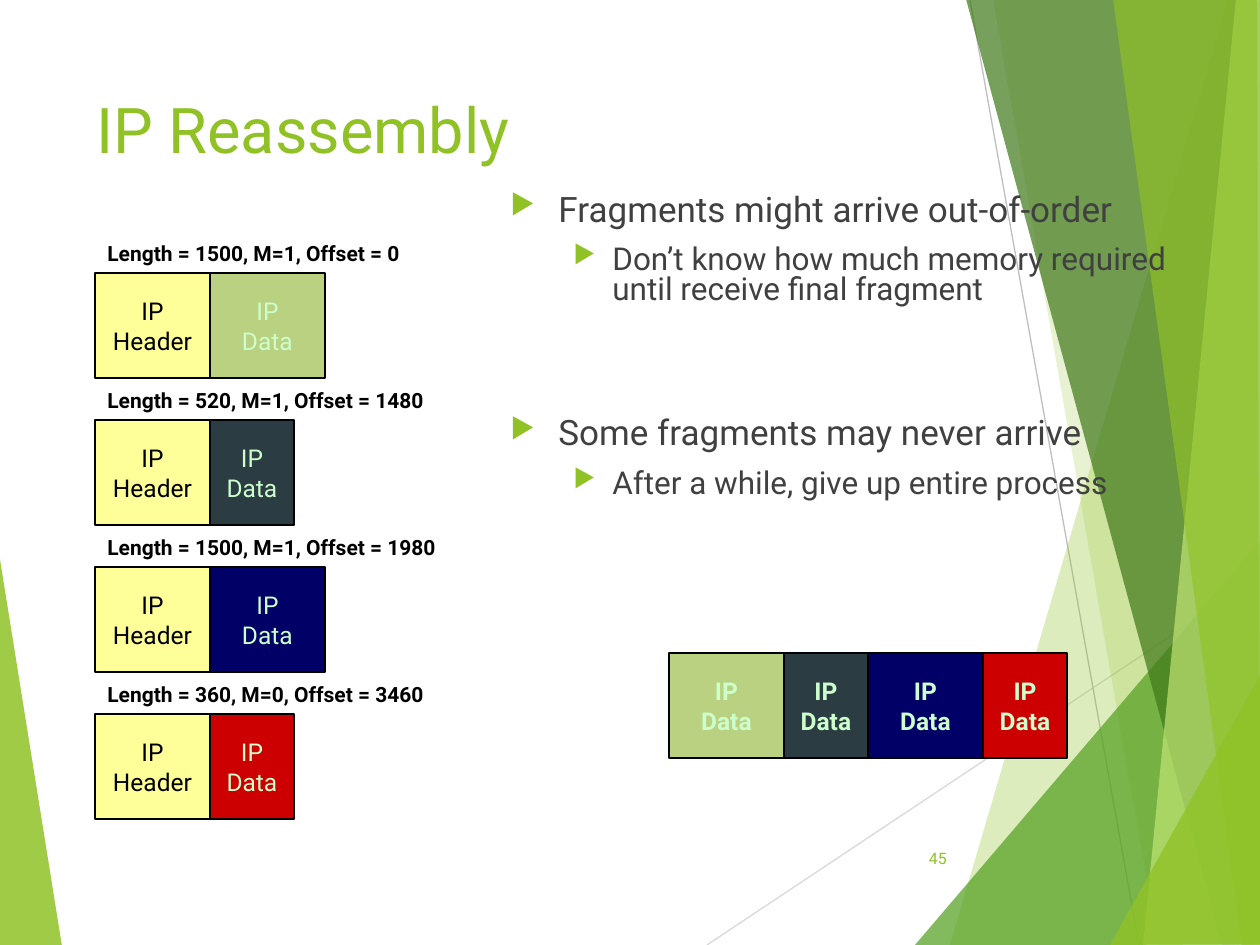
from lxml import etree
from pptx import Presentation
from pptx.dml.color import RGBColor
from pptx.enum.shapes import MSO_CONNECTOR, MSO_SHAPE
from pptx.enum.text import MSO_ANCHOR, PP_ALIGN
from pptx.oxml.ns import qn
from pptx.util import Emu, Pt

PX = 914400 / 126
RECTANGLE = MSO_SHAPE.RECTANGLE
STRAIGHT = MSO_CONNECTOR.STRAIGHT
TOP, MIDDLE = MSO_ANCHOR.TOP, MSO_ANCHOR.MIDDLE
LEFT, CENTER, RIGHT = PP_ALIGN.LEFT, PP_ALIGN.CENTER, PP_ALIGN.RIGHT
COLORS = {
    "lime": "90C226", "green": "54A021", "forest": "3F7819", "pale": "C0E474",
    "ray": "D9D9D9", "dark ray": "BFBFBF", "body": "404040", "black": "000000",
    "header": "FFFF99", "sage": "B9D181", "slate": "2C3C43", "navy": "000066",
    "red": "CC0000", "mint": "CCFFCC",
}


def px(*lengths):
    return [Emu(round(length * PX)) for length in lengths]


def write(shape, lines, size, color, bold=False, align=LEFT, anchor=TOP, wrap=True):
    frame = shape.text_frame
    frame.text = "\n".join(lines)
    frame.word_wrap = wrap
    frame.vertical_anchor = anchor
    for paragraph in frame.paragraphs:
        paragraph.alignment = align
        font = paragraph.runs[0].font
        font.name, font.size, font.bold = "Roboto", Pt(size), bold
        font.color.rgb = RGBColor.from_string(COLORS[color])


prs = Presentation()
prs.slide_width, prs.slide_height = px(1260, 945)
slide = prs.slides.add_slide(prs.slide_layouts[6])
shapes = slide.shapes

rays = [("ray", (707, 945, 1261, 576)), ("dark ray", (970, 0, 1139, 945))]
for color, ends in rays:
    ray = shapes.add_connector(STRAIGHT, *px(*ends))
    ray.line.color.rgb = RGBColor.from_string(COLORS[color])
    ray.line.width = Pt(0.75)
    etree.SubElement(ray._element.spPr, qn("a:effectLst"))

facets = [
    ("lime", 85, [(-1, 553), (62, 946), (-1, 945)]),
    ("lime", 30, [(1228, 0), (950, 945), (1263, 946), (1261, 1)]),
    ("lime", 20, [(993, -1), (1158, 945), (1261, 945), (1261, -1)]),
    ("green", 72, [(915, 945), (1260, 541), (1261, 945)]),
    ("forest", 70, [(966, -1), (1222, 945), (1261, 944), (1261, -1)]),
    ("pale", 70, [(1236, -1), (1143, 945), (1261, 945), (1260, -1)]),
    ("lime", 65, [(1113, -1), (1242, 945), (1260, 945), (1257, -1)]),
    ("lime", 80, [(1110, 945), (1261, 674), (1261, 944)]),
]
for color, opacity, corners in facets:
    outline = shapes.build_freeform(*corners[0], scale=PX)
    outline.add_line_segments(corners[1:], close=True)
    facet = outline.convert_to_shape()
    facet.shadow.inherit = False
    facet.line.fill.background()
    facet.fill.solid()
    facet.fill.fore_color.rgb = RGBColor.from_string(COLORS[color])
    tint = facet._element.spPr.find(qn("a:solidFill"))[0]
    etree.SubElement(tint, qn("a:alpha"), val=str(opacity * 1000))

title = shapes.add_textbox(*px(84, 84, 874, 181))
write(title, ["IP Reassembly"], 36, "lime")

points = [
    (0, 0, "Fragments might arrive out-of-order"),
    (1, 10, "Don’t know how much memory required until receive final fragment"),
    (0, 64, "Some fragments may never arrive"),
    (1, 10, "After a while, give up entire process"),
]
body = shapes.add_textbox(*px(498, 189, 697, 630))
write(body, [text for _, _, text in points], 20, "body")
for paragraph, (level, gap, _) in zip(body.text_frame.paragraphs, points):
    paragraph.level = level
    paragraph.line_spacing = 0.8
    paragraph.space_before = Pt(gap)
    paragraph.runs[0].font.size = Pt(18 if level else 20)
    margin, hanging = px(*((102, -39) if level else (48, -48)))
    props = paragraph._p.get_or_add_pPr()
    props.set("marL", str(margin))
    props.set("indent", str(hanging))
    bullet_color = etree.SubElement(props, qn("a:buClr"))
    etree.SubElement(bullet_color, qn("a:srgbClr"), val=COLORS["lime"])
    etree.SubElement(props, qn("a:buSzPct"), val="80000")
    etree.SubElement(props, qn("a:buChar"), char="▶")

page_number = shapes.add_textbox(*px(888, 833, 71, 50))
write(page_number, ["45"], 9, "lime", align=RIGHT, anchor=MIDDLE)

fragments = [
    ("Length = 1500, M=1, Offset = 0", "sage", 115),
    ("Length = 520, M=1, Offset = 1480", "slate", 84),
    ("Length = 1500, M=1, Offset = 1980", "navy", 115),
    ("Length = 360, M=0, Offset = 3460", "red", 84),
]
blocks = []
joined_left = 669
for row, (caption, color, width) in enumerate(fragments):
    top = 273 + 147 * row
    label = shapes.add_textbox(*px(95, top - 39, 410, 38))
    write(label, [caption], 12, "black", bold=True, wrap=False)
    blocks.append(("Header", "header", "black", False, 95, top, 115))
    blocks.append(("Data", color, "mint", False, 210, top, width))
    blocks.append(("Data", color, "mint", True, joined_left, 653, width))
    joined_left += width

for part, fill, ink, bold, left, top, width in blocks:
    block = shapes.add_shape(RECTANGLE, *px(left, top, width, 105))
    block.shadow.inherit = False
    block.fill.solid()
    block.fill.fore_color.rgb = RGBColor.from_string(COLORS[fill])
    block.line.color.rgb = RGBColor.from_string(COLORS["black"])
    block.line.width = Pt(1)
    write(block, ["IP", part], 14, ink, bold, CENTER, MIDDLE)

prs.save("out.pptx")
